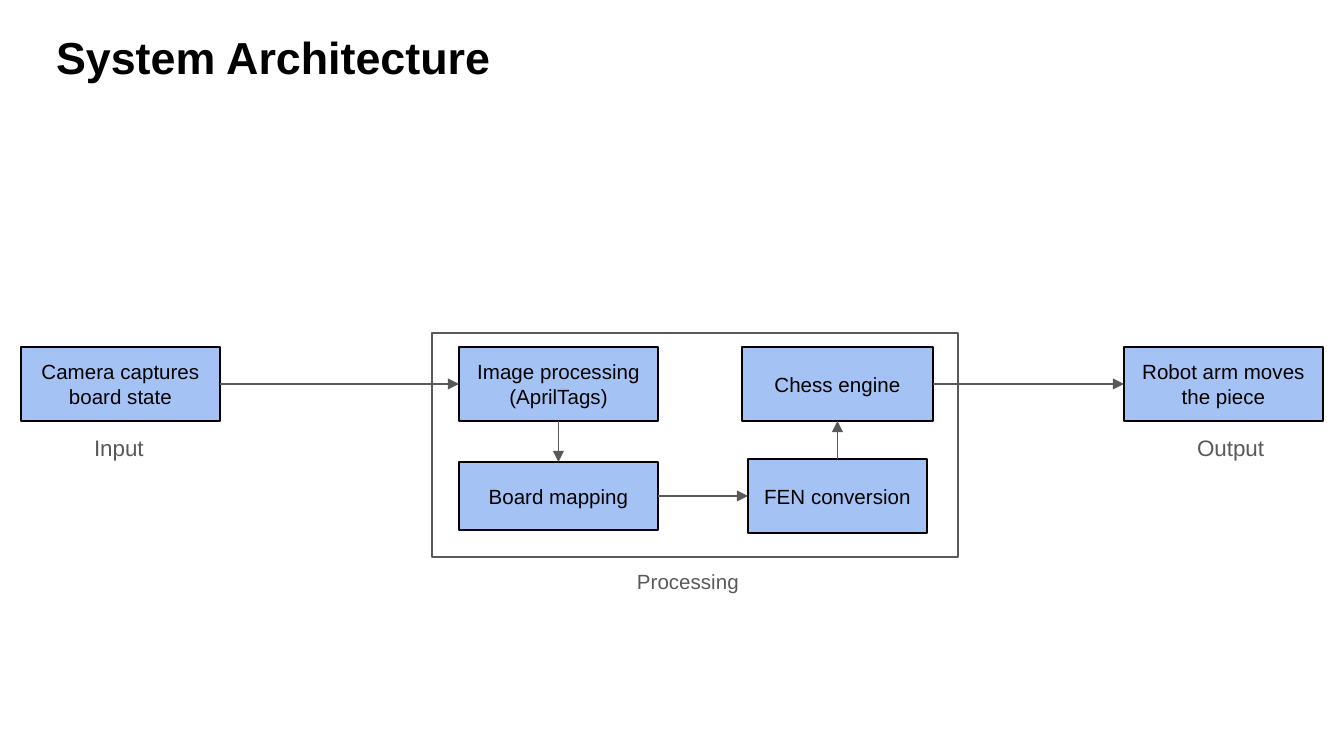
from pptx import Presentation
from pptx.dml.color import RGBColor
from pptx.enum.shapes import MSO_CONNECTOR, MSO_SHAPE
from pptx.enum.text import MSO_ANCHOR, MSO_AUTO_SIZE, PP_ALIGN
from pptx.oxml.ns import qn
from pptx.util import Pt
from lxml import etree

RECT = MSO_SHAPE.RECTANGLE
PROCESS = MSO_SHAPE.FLOWCHART_PROCESS
STRAIGHT = MSO_CONNECTOR.STRAIGHT
MIDDLE, TOP_ANCHOR = MSO_ANCHOR.MIDDLE, MSO_ANCHOR.TOP
CENTER, LEFT_ALIGN = PP_ALIGN.CENTER, PP_ALIGN.LEFT
GROW = MSO_AUTO_SIZE.SHAPE_TO_FIT_TEXT
TOP, LEFT, BOTTOM, RIGHT = range(4)

PX = 914400 / 134.4
COLORS = {"black": "000000", "grey": "595959", "blue": "A4C2F4", "white": "FFFFFF"}


def px(n):
    return round(n * PX)


class Deck:
    font = "Arial"
    inset = 13
    line_width = 0.75

    def __init__(self, width, height):
        self.prs = Presentation()
        self.prs.slide_width, self.prs.slide_height = px(width), px(height)
        self.s = self.prs.slides.add_slide(self.prs.slide_layouts[6])

    def color(self, name):
        return RGBColor.from_string(COLORS[name])

    def outline(self, sp, color):
        sp.line.color.rgb = self.color(color)
        sp.line.width = Pt(self.line_width)

    def put_text(self, sp, text, size, color, align, anchor, bold=False):
        tf = sp.text_frame
        tf.word_wrap = True
        tf.vertical_anchor = anchor
        tf.margin_left = tf.margin_right = px(self.inset)
        tf.margin_top = tf.margin_bottom = px(self.inset)
        p = tf.paragraphs[0]
        p.alignment = align
        r = p.add_run()
        r.text = text
        r.font.name = self.font
        r.font.size = Pt(size)
        r.font.bold = bold
        r.font.color.rgb = self.color(color)

    def box(self, x, y, w, h, kind, fill, line):
        sp = self.s.shapes.add_shape(kind, px(x), px(y), px(w), px(h))
        sp.shadow.inherit = False
        sp.fill.solid()
        sp.fill.fore_color.rgb = self.color(fill)
        self.outline(sp, line)
        return sp

    def step(self, text, x, y, w, h=74):
        sp = self.box(x, y, w, h, PROCESS, "blue", "black")
        self.put_text(sp, text, 11, "black", CENTER, MIDDLE)
        return sp

    def label(self, text, x, y, w, h, size, color="grey", bold=False):
        sp = self.s.shapes.add_textbox(px(x), px(y), px(w), px(h))
        self.put_text(sp, text, size, color, LEFT_ALIGN, TOP_ANCHOR, bold)
        sp.text_frame.auto_size = GROW

    def arrow(self, start, start_side, end, end_side):
        c = self.s.shapes.add_connector(STRAIGHT, 0, 0, 0, 0)
        c.begin_connect(start, start_side)
        c.end_connect(end, end_side)
        self.outline(c, "grey")
        sp_pr = c.element.spPr
        etree.SubElement(sp_pr.find(qn("a:ln")), qn("a:tailEnd"), type="triangle")
        etree.SubElement(sp_pr, qn("a:effectLst"))


def main():
    deck = Deck(1344, 756)
    deck.label("System Architecture", 43, 17, 508, 82, 24, "black", bold=True)

    deck.box(432, 333, 526, 224, RECT, "white", "grey")
    row = 347
    camera = deck.step("Camera captures board state", 21, row, 199)
    image = deck.step("Image processing (AprilTags)", 459, row, 199)
    board = deck.step("Board mapping", 459, 462, 199, 68)
    fen = deck.step("FEN conversion", 748, 459, 179)
    engine = deck.step("Chess engine", 742, row, 191)
    robot = deck.step("Robot arm moves the piece", 1124, row, 199)

    deck.arrow(camera, RIGHT, image, LEFT)
    deck.arrow(image, BOTTOM, board, TOP)
    deck.arrow(board, RIGHT, fen, LEFT)
    deck.arrow(fen, TOP, engine, BOTTOM)
    deck.arrow(engine, RIGHT, robot, LEFT)

    deck.label("Input", 81, 421, 79, 54, 12)
    deck.label("Processing", 624, 557, 142, 52, 11)
    deck.label("Output", 1184, 421, 106, 54, 12)

    deck.prs.save("out.pptx")


if __name__ == "__main__":
    main()
